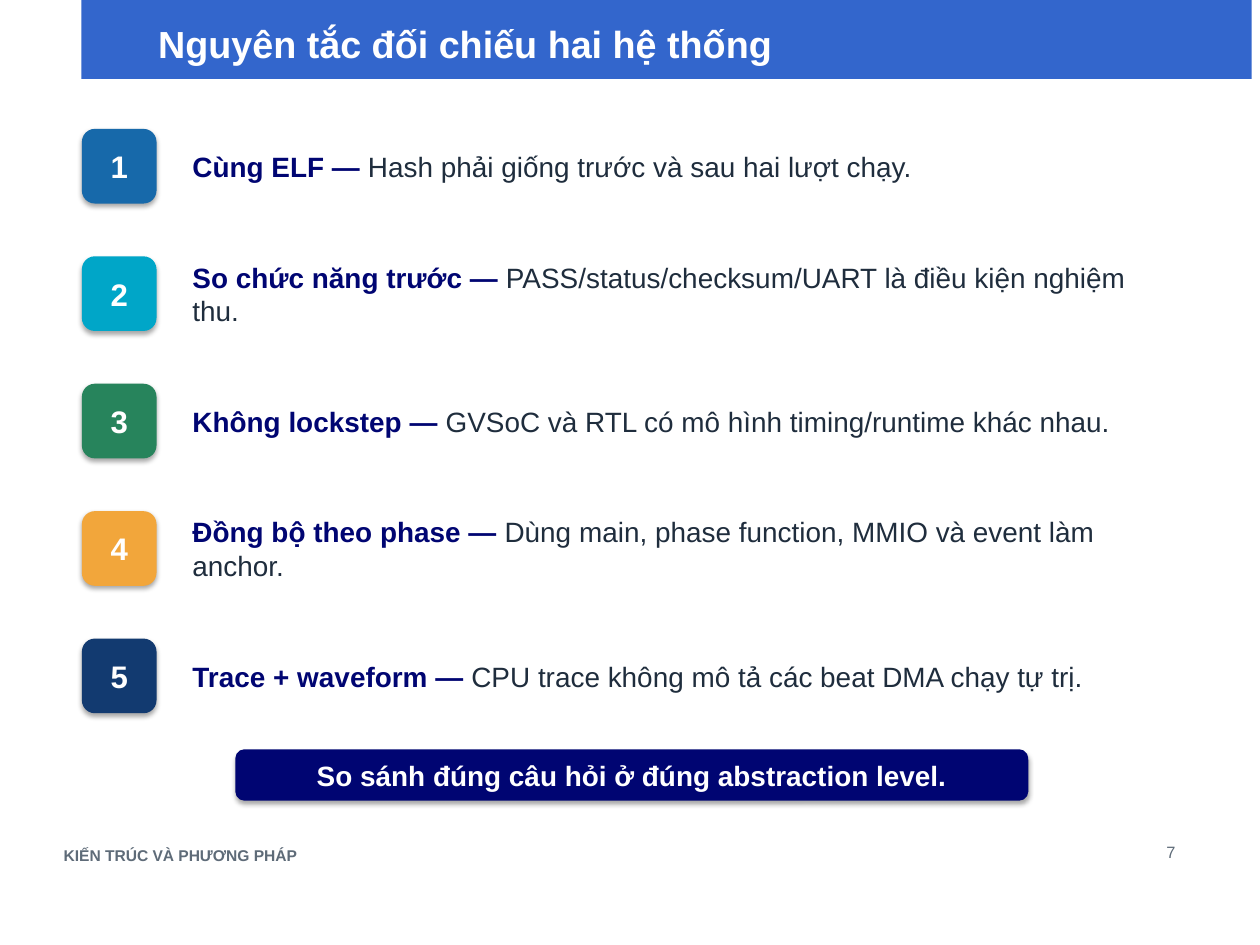
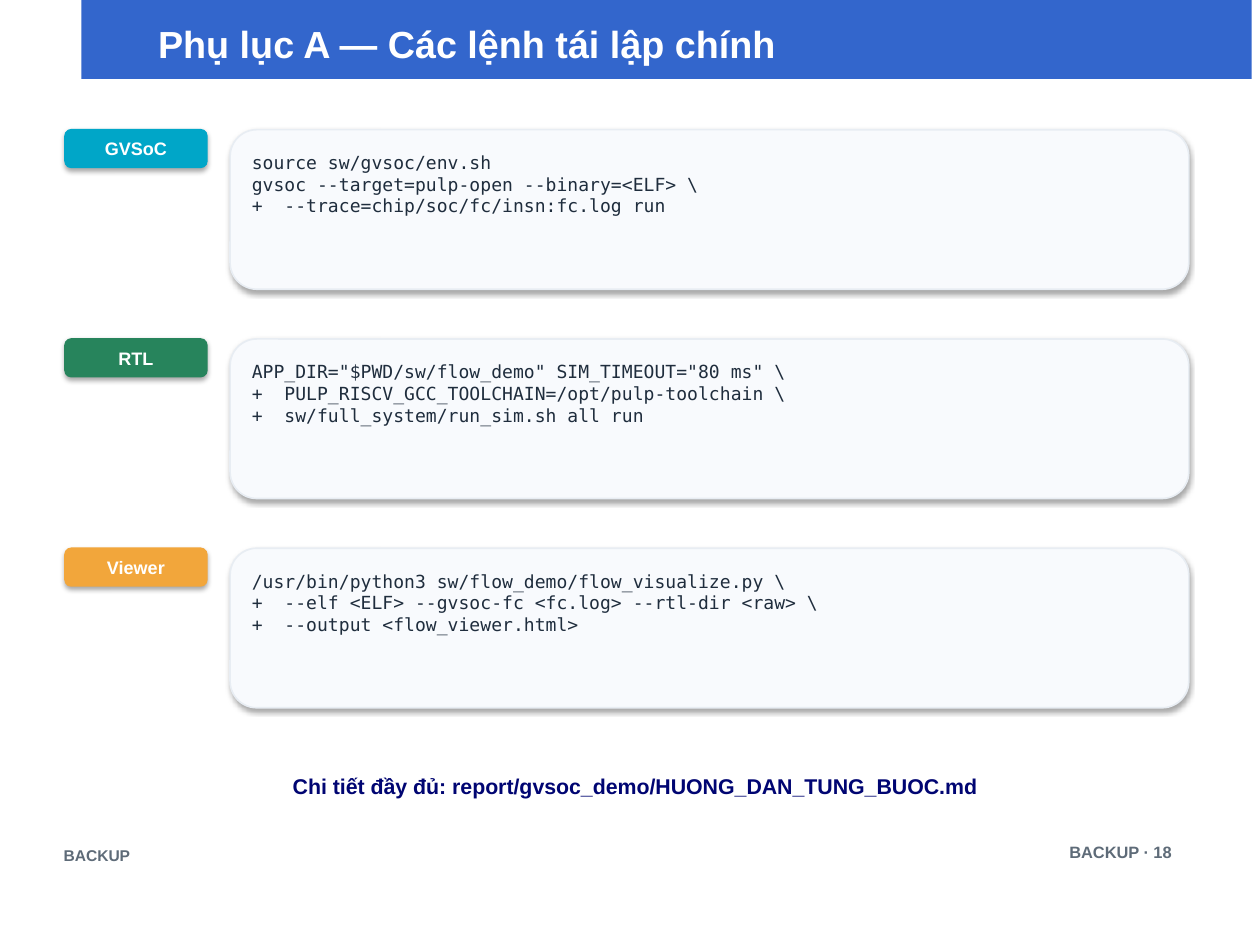
"""Build two slides: system comparison principles and reproduction commands."""
from pptx import Presentation
from pptx.dml.color import RGBColor
from pptx.enum.shapes import MSO_SHAPE
from pptx.enum.text import MSO_ANCHOR, PP_ALIGN
from pptx.util import Cm, Pt

COLORS = {
    "band": "3366CC", "white": "FFFFFF", "navy": "000572", "ink": "1F2D3D",
    "muted": "5E6B78", "blue": "1769AA", "cyan": "00A6C8", "green": "27845C",
    "orange": "F2A63B", "deep": "123A70", "panel": "F8FAFD", "border": "E8EDF3",
}
SANS, MONO = "Arial", "DejaVu Sans Mono"

PRINCIPLES = {
    "title": "Nguyên tắc đối chiếu hai hệ thống",
    "footer": "KIẾN TRÚC VÀ PHƯƠNG PHÁP",
    "items": [
        ("blue", "Cùng ELF — ", "Hash phải giống trước và sau hai lượt chạy."),
        ("cyan", "So chức năng trước — ", "PASS/status/checksum/UART là điều kiện nghiệm thu."),
        ("green", "Không lockstep — ", "GVSoC và RTL có mô hình timing/runtime khác nhau."),
        ("orange", "Đồng bộ theo phase — ", "Dùng main, phase function, MMIO và event làm anchor."),
        ("deep", "Trace + waveform — ", "CPU trace không mô tả các beat DMA chạy tự trị."),
    ],
    "banner": "So sánh đúng câu hỏi ở đúng abstraction level.",
}

COMMANDS = {
    "title": "Phụ lục A — Các lệnh tái lập chính",
    "footer": "BACKUP",
    "items": [
        ("cyan", "GVSoC", r"""source sw/gvsoc/env.sh
gvsoc --target=pulp-open --binary=<ELF> \
+  --trace=chip/soc/fc/insn:fc.log run"""),
        ("green", "RTL", r"""APP_DIR="$PWD/sw/flow_demo" SIM_TIMEOUT="80 ms" \
+  PULP_RISCV_GCC_TOOLCHAIN=/opt/pulp-toolchain \
+  sw/full_system/run_sim.sh all run"""),
        ("orange", "Viewer", r"""/usr/bin/python3 sw/flow_demo/flow_visualize.py \
+  --elf <ELF> --gvsoc-fc <fc.log> --rtl-dir <raw> \
+  --output <flow_viewer.html>"""),
    ],
    "note": "Chi tiết đầy đủ: report/gvsoc_demo/HUONG_DAN_TUNG_BUOC.md",
}

CONTENT_TOP = 2.79
BADGE_SIZE, BADGE_PITCH = 1.57, 2.74
COMMAND_PITCH = 4.5


def color(name):
    return RGBColor.from_string(COLORS[name])


def write(shape, text, size, ink, bold=True, font=SANS, align=PP_ALIGN.LEFT,
          anchor=MSO_ANCHOR.MIDDLE, inset=(0.2, 0.2)):
    frame = shape.text_frame
    frame.word_wrap = True
    frame.vertical_anchor = anchor
    frame.margin_left = frame.margin_right = Cm(inset[0])
    frame.margin_top = frame.margin_bottom = Cm(inset[1])
    paragraph = frame.paragraphs[0]
    paragraph.text = text
    paragraph.alignment = align
    paragraph.font.name = font
    paragraph.font.size = Pt(size)
    paragraph.font.bold = bold
    paragraph.font.color.rgb = color(ink)
    return paragraph


def add_text(slide, box, text, size, ink, **style):
    shape = slide.shapes.add_textbox(*map(Cm, box))
    return write(shape, text, size, ink, **style)


def add_card(slide, box, fill, line=None):
    shape = slide.shapes.add_shape(MSO_SHAPE.ROUNDED_RECTANGLE, *map(Cm, box))
    shape.fill.solid()
    shape.fill.fore_color.rgb = color(fill)
    shape.line.color.rgb = color(line or fill)
    shape.line.width = Pt(1)
    return shape


def add_label(slide, box, fill, text, size, **style):
    write(add_card(slide, box, fill), text, size, "white", align=PP_ALIGN.CENTER, **style)


def add_frame(presentation, content, page, page_box, page_bold):
    slide = presentation.slides.add_slide(presentation.slide_layouts[6])
    band = slide.shapes.add_shape(MSO_SHAPE.RECTANGLE, Cm(1.75), 0, Cm(25.17), Cm(1.7))
    band.shadow.inherit = False
    band.fill.solid()
    band.fill.fore_color.rgb = color("band")
    band.line.fill.background()
    add_text(slide, (3.35, 0.23, 21.72, 1.42), content["title"], 23, "white", inset=(0.05, 0.05))
    add_text(slide, (1.17, 17.98, 11.43, 0.58), content["footer"], 9.5, "muted",
             anchor=MSO_ANCHOR.TOP)
    add_text(slide, page_box, page, 10, "muted", bold=page_bold, align=PP_ALIGN.RIGHT,
             anchor=MSO_ANCHOR.TOP)
    return slide


def build_principles(presentation):
    slide = add_frame(presentation, PRINCIPLES, "7", (24.77, 17.91, 0.71, 0.71), False)
    for index, (fill, lead, detail) in enumerate(PRINCIPLES["items"]):
        top = CONTENT_TOP + index * BADGE_PITCH
        add_label(slide, (1.78, top, BADGE_SIZE, BADGE_SIZE), fill, str(index + 1), 19)
        paragraph = add_text(slide, (4.01, top + 0.05, 21.08, 1.47), lead, 17, "navy",
                             inset=(0.13, 0.08))
        run = paragraph.add_run()
        run.text = detail
        run.font.bold = False
        run.font.color.rgb = color("ink")
    add_label(slide, (5.08, 16.13, 17.02, 1.07), "navy", PRINCIPLES["banner"], 17)


def build_commands(presentation):
    slide = add_frame(presentation, COMMANDS, "BACKUP · 18", (22.61, 17.91, 2.79, 0.71), True)
    for index, (fill, name, code) in enumerate(COMMANDS["items"]):
        top = CONTENT_TOP + index * COMMAND_PITCH
        add_label(slide, (1.4, top, 3.05, 0.81), fill, name, 11, inset=(0.05, 0.05))
        panel = add_card(slide, (4.95, top, 20.62, 3.43), "panel", "border")
        write(panel, code, 11, "ink", bold=False, font=MONO, anchor=MSO_ANCHOR.TOP,
              inset=(0.3, 0.3))
    add_text(slide, (2.79, 16.43, 21.72, 0.97), COMMANDS["note"], 13, "navy",
             align=PP_ALIGN.CENTER, anchor=MSO_ANCHOR.TOP)


def main():
    presentation = Presentation()
    presentation.slide_width = Cm(27.1)
    presentation.slide_height = Cm(20.32)
    build_principles(presentation)
    build_commands(presentation)
    presentation.save("out.pptx")


if __name__ == "__main__":
    main()
